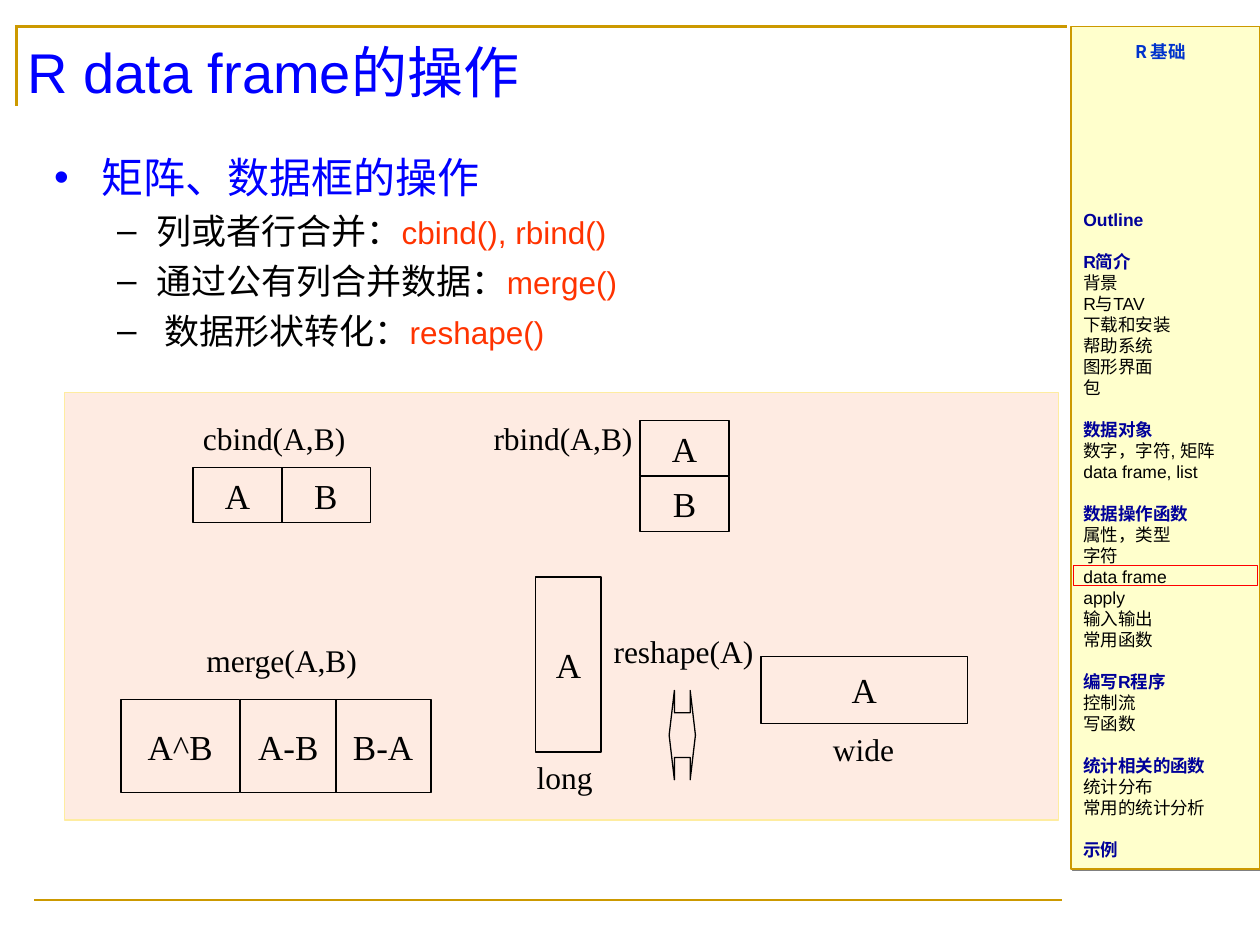
from lxml import etree
from pptx import Presentation
from pptx import util as u
from pptx.dml.color import RGBColor
from pptx.enum import shapes, text
from pptx.oxml import parse_xml
from pptx.oxml.ns import nsdecls, qn

GOLD, BLUE, NAVY, BLACK, RED = "CC9900", "0000FF", "000099", "000000", "FF3300"
SERIF, SANS, CHINESE = "Times New Roman", "Arial", "Noto Sans CJK SC"

OUTLINE = [
    ("Outline", []),
    ("R简介", ["背景", "R与TAV", "下载和安装", "帮助系统", "图形界面", "包"]),
    ("数据对象", ["数字，字符, 矩阵", "data frame, list"]),
    ("数据操作函数", ["属性，类型", "字符", "data frame", "apply", "输入输出", "常用函数"]),
    ("编写R程序", ["控制流", "写函数"]),
    ("统计相关的函数", ["统计分布", "常用的统计分析"]),
    ("示例", []),
]
OPERATIONS = [
    ("列或者行合并：", "cbind(), rbind()"),
    ("通过公有列合并数据：", "merge()"),
    (" 数据形状转化：", "reshape()"),
]
RULES = [(0.33, 0.53, 0.33, 2.13), (0.3, 0.53, 21.51, 0.53), (0.69, 18.14, 21.41, 18.14)]
CELLS = [
    ("A", 3.89, 9.42, 1.8, 1.12),
    ("B", 5.67, 9.42, 1.8, 1.12),
    ("A", 12.9, 8.48, 1.8, 1.12),
    ("B", 12.9, 9.6, 1.8, 1.12),
    ("A^B", 2.44, 14.1, 2.39, 1.88),
    ("A-B", 4.85, 14.1, 1.93, 1.88),
    ("B-A", 6.76, 14.1, 1.93, 1.88),
    ("A", 15.34, 13.23, 4.17, 1.35),
    ("A", 10.8, 11.63, 1.32, 3.53),
]
LABELS = [
    ("cbind(A,B)", 3.84, 8.33, 3.7),
    ("rbind(A,B)", 9.7, 8.33, 3.7),
    ("merge(A,B)", 3.91, 12.8, 3.7),
    ("reshape(A)", 12.12, 12.62, 3.7),
    ("long", 10.57, 15.16, 2.1),
    ("wide", 16.54, 14.6, 2.1),
]


def paint(target, color):
    """Give a font, fill or line colour object a hex colour."""
    target.rgb = RGBColor.from_string(color)


def style(font, size, color, name=None, bold=None):
    """Set the size, colour, typeface and weight of a font."""
    font.size = u.Pt(size)
    paint(font.color, color)
    if name:
        font.name = name
    font.bold = bold


def add_box(page, place, line, fill=None, kind=shapes.MSO_SHAPE.RECTANGLE):
    """Draw an outlined preset shape, filled when a fill is given."""
    box = page.shapes.add_shape(kind, *map(u.Cm, place))
    box.shadow.inherit = False
    if fill:
        box.fill.solid()
        paint(box.fill.fore_color, fill)
    else:
        box.fill.background()
    paint(box.line.color, line)
    box.line.width = u.Pt(0.75)
    return box


def add_frame(page, place, wrap=True):
    """Add a text box and return its text frame."""
    frame = page.shapes.add_textbox(*map(u.Cm, place)).text_frame
    frame.word_wrap = wrap
    return frame


def add_rule(page, ends):
    """Draw one straight gold rule."""
    rule = page.shapes.add_connector(shapes.MSO_CONNECTOR.STRAIGHT, *map(u.Cm, ends))
    paint(rule.line.color, GOLD)
    rule.line.width = u.Pt(1.5)
    etree.SubElement(rule._element.spPr, qn("a:effectLst"))


def add_cell(page, caption, *place):
    """Draw one data block with a centred caption."""
    box = add_box(page, place, BLACK)
    box.text_frame.vertical_anchor = text.MSO_ANCHOR.MIDDLE
    para = box.text_frame.paragraphs[0]
    para.text = caption
    para.alignment = text.PP_ALIGN.CENTER
    style(para.font, 20, BLACK, SERIF)


def add_label(page, caption, left, top, width):
    """Write the name of one operation or shape."""
    para = add_frame(page, (left, top, width, 1.02)).paragraphs[0]
    para.text = caption
    style(para.font, 18, BLACK, SERIF)


def next_paragraph(frame):
    """Return the empty first paragraph or append a new one."""
    first = frame.paragraphs[0]
    return frame.add_paragraph() if first.runs else first


def set_bullet(para, mark, color, margin, hang):
    """Give a paragraph a coloured bullet and a hanging indent."""
    props = para._p.get_or_add_pPr()
    props.set("marL", str(u.Cm(margin)))
    props.set("indent", str(-u.Cm(hang)))
    for xml in (
        f'<a:buClr {nsdecls("a")}><a:srgbClr val="{color}"/></a:buClr>',
        f'<a:buFont {nsdecls("a")} typeface="{SANS}"/>',
        f'<a:buChar {nsdecls("a")} char="{mark}"/>',
    ):
        props.append(parse_xml(xml))


def add_title(page):
    """Fill and place the title placeholder."""
    title = page.shapes.title
    title.left, title.top, title.width, title.height = map(u.Cm, (0.3, 0.53, 21.51, 1.8))
    title.text_frame.vertical_anchor = text.MSO_ANCHOR.MIDDLE
    para = title.text_frame.paragraphs[0]
    para.text = "R data frame的操作"
    para.alignment = text.PP_ALIGN.LEFT
    style(para.font, 32, BLUE, SANS)


def add_body(page):
    """Write the topic and the operations with their functions."""
    frame = add_frame(page, (0.84, 2.92, 20.65, 4.8))
    topic = frame.paragraphs[0]
    topic.text = "矩阵、数据框的操作"
    set_bullet(topic, "•", BLUE, 0.95, 0.95)
    topic.line_spacing = u.Pt(29)
    style(topic.font, 24, BLUE, SANS)
    for purpose, functions in OPERATIONS:
        para = frame.add_paragraph()
        para.level = 1
        set_bullet(para, "–", BLACK, 2.06, 0.79)
        para.line_spacing = u.Pt(24)
        para.space_before = u.Pt(4.5)
        para.font.name = SANS
        for words, size, color in ((purpose, 20, BLACK), (functions, 18, RED)):
            span = para.add_run()
            span.text = words
            style(span.font, size, color)


def add_sidebar(page):
    """Draw the course outline with the current topic marked."""
    panel = add_box(page, (21.59, 0.53, 3.81, 16.99), GOLD, "FFFFCC")
    effects = panel._element.spPr.find(qn("a:effectLst"))
    effects.append(parse_xml(
        f'<a:outerShdw {nsdecls("a")} dist="17780" dir="2700000" algn="ctr" rotWithShape="0">'
        '<a:srgbClr val="808080"/></a:outerShdw>'))
    heading = add_frame(page, (21.59, 0.71, 3.61, 0.69)).paragraphs[0]
    heading.text = "R 基础"
    heading.alignment = text.PP_ALIGN.CENTER
    style(heading.font, 10, "0033CC", CHINESE, True)
    frame = add_frame(page, (21.59, 4.09, 3.81, 13.64))
    for section, topics in OUTLINE:
        for words in [section, *topics]:
            para = next_paragraph(frame)
            is_section = words == section
            if is_section and frame.paragraphs[0].runs:
                para.space_before = u.Pt(12)
            para.text = words
            para.line_spacing = u.Pt(12)
            style(para.font, 10, NAVY if is_section else BLACK, SANS, is_section)
    add_box(page, (21.64, 11.4, 3.71, 0.41), "FF0000")


def add_diagram(page):
    """Draw the panel showing how the operations arrange data."""
    add_box(page, (1.3, 7.92, 20.04, 8.61), "FEECA0", "FEEBE2")
    for cell in CELLS:
        add_cell(page, *cell)
    for label in LABELS:
        add_label(page, *label)
    arrow = add_box(page, (13.49, 13.92, 0.53, 1.8), BLACK,
                    kind=shapes.MSO_SHAPE.LEFT_RIGHT_ARROW)
    arrow.adjustments[0], arrow.adjustments[1] = 0.5, 0.2


def main():
    """Build and save the slide."""
    deck = Presentation()
    deck.slide_width, deck.slide_height = u.Cm(25.4), u.Cm(19.05)
    page = deck.slides.add_slide(deck.slide_layouts[5])
    add_sidebar(page)
    for ends in RULES:
        add_rule(page, ends)
    add_title(page)
    add_body(page)
    add_diagram(page)
    deck.save("out.pptx")


if __name__ == "__main__":
    main()
